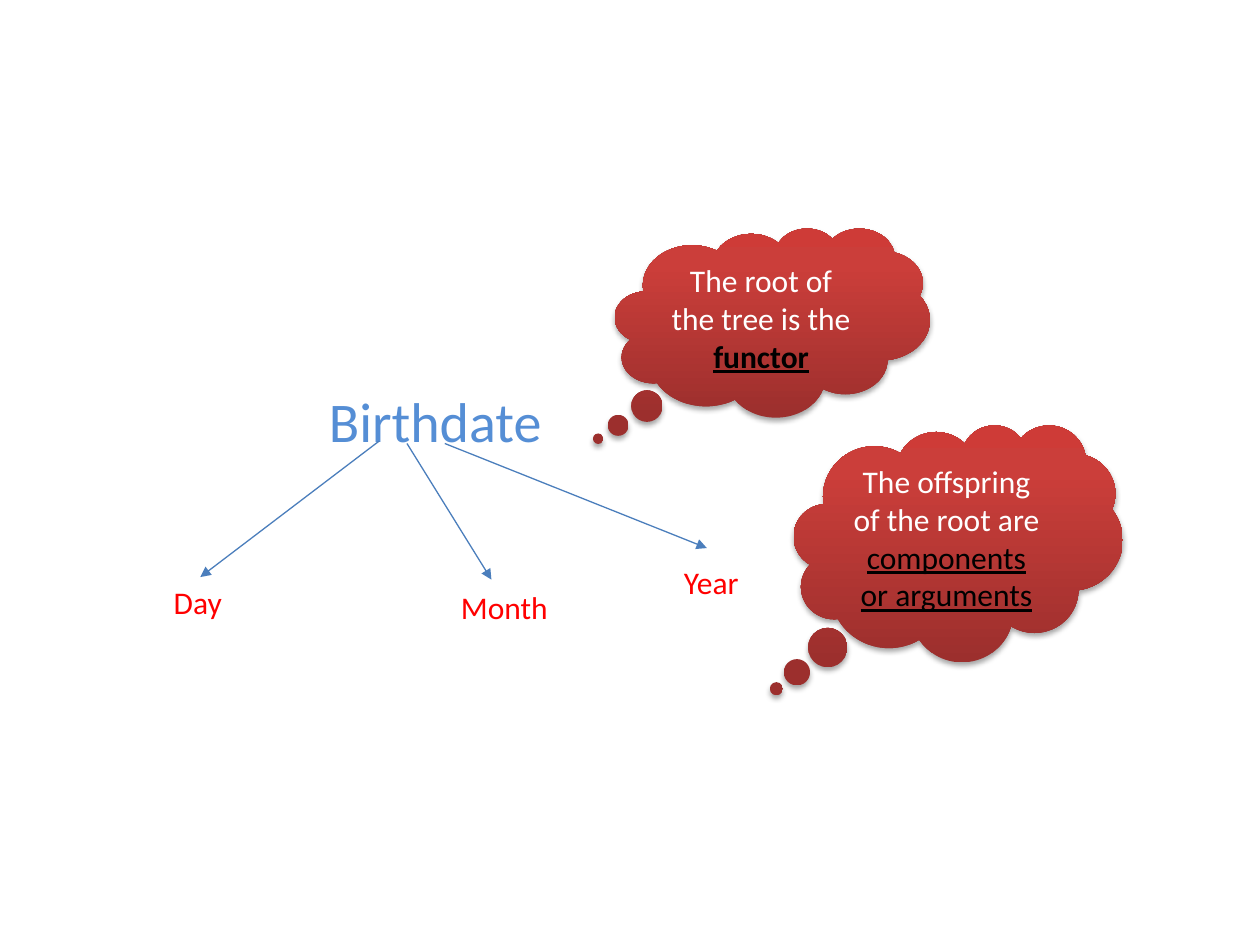
"""Build a slide showing the Birthdate tree with its functor and components."""
from pptx import Presentation
from pptx.dml.color import RGBColor
from pptx.enum.shapes import MSO_CONNECTOR, MSO_SHAPE
from pptx.enum.text import MSO_ANCHOR, PP_ALIGN
from pptx.oxml import parse_xml
from pptx.oxml.ns import nsdecls, qn
from pptx.util import Inches, Pt

STRAIGHT = MSO_CONNECTOR.STRAIGHT
CLOUD = MSO_SHAPE.CLOUD_CALLOUT
MIDDLE = MSO_ANCHOR.MIDDLE
CENTER = PP_ALIGN.CENTER
BLUE = RGBColor(0x55, 0x8E, 0xD5)
ARROW_BLUE = RGBColor(0x4B, 0x7E, 0xBC)
RED = RGBColor(0xFF, 0x00, 0x00)
WHITE = RGBColor(0xFF, 0xFF, 0xFF)
BLACK = RGBColor(0x00, 0x00, 0x00)
CLOUD_STOPS = [
    (0, RGBColor(0x9C, 0x2F, 0x2D)),
    (80, RGBColor(0xCB, 0x3E, 0x3A)),
    (100, RGBColor(0xCE, 0x3B, 0x37)),
]


def add_span(para, text, size, color):
    span = para.add_run()
    span.text = text
    span.font.name = "Calibri"
    span.font.size = Pt(size)
    span.font.color.rgb = color
    return span


def style_cloud(cloud):
    cloud.line.fill.background()
    cloud.fill.gradient()
    cloud.shadow.inherit = False
    properties = cloud._element.spPr
    stops = "".join(
        f'<a:gs pos="{place * 1000}"><a:srgbClr val="{color}"/></a:gs>'
        for place, color in CLOUD_STOPS
    )
    gradient = parse_xml(
        f'<a:gradFill {nsdecls("a")} rotWithShape="1"><a:gsLst>{stops}</a:gsLst>'
        '<a:lin ang="16200000" scaled="0"/></a:gradFill>'
    )
    properties.replace(properties.find(qn("a:gradFill")), gradient)
    shadow = parse_xml(
        f'<a:outerShdw {nsdecls("a")} blurRad="{Pt(3.1)}" dist="{Pt(1.8)}" '
        'dir="5400000" rotWithShape="0"><a:srgbClr val="000000">'
        '<a:alpha val="35000"/></a:srgbClr></a:outerShdw>'
    )
    properties.find(qn("a:effectLst")).append(shadow)


deck = Presentation()
deck.slide_width, deck.slide_height = Inches(10), Inches(7.5)
page = deck.slides.add_slide(deck.slide_layouts[1])
title = page.shapes.title._element
title.getparent().remove(title)

root = page.placeholders[1]
root.left, root.top = Inches(0.5), Inches(1.75)
root.width, root.height = Inches(9), Inches(4.95)
root.text_frame.margin_top = Inches(1.32)
para = root.text_frame.paragraphs[0]
para.space_before = Pt(0)
layout = para._p.get_or_add_pPr()
layout.set("marL", str(Inches(2.01)))
layout.set("indent", "0")
layout.append(parse_xml(f'<a:buNone {nsdecls("a")}/>'))
add_span(para, "Birthdate", 32, BLUE)

branches = [
    ("Day", (3.01, 3.5, 1.59, 4.58), (1.28, 4.58, 0.59)),
    ("Month", (3.23, 3.52, 3.9, 4.6), (3.56, 4.62, 0.96)),
    ("Year", (3.53, 3.52, 5.61, 4.35), (5.33, 4.42, 0.64)),
]
for name, ends, (left, top, width) in branches:
    arrow = page.shapes.add_connector(STRAIGHT, *map(Inches, ends))
    arrow.line.color.rgb = ARROW_BLUE
    arrow.line.width = Pt(0.75)
    arrow.line._get_or_add_ln().append(
        parse_xml(f'<a:tailEnd {nsdecls("a")} type="triangle"/>')
    )
    arrow._element.spPr.append(parse_xml(f'<a:effectLst {nsdecls("a")}/>'))

    box = page.shapes.add_textbox(Inches(left), Inches(top), Inches(width), Inches(0.4))
    box.text_frame.word_wrap = False
    add_span(box.text_frame.paragraphs[0], name, 18, RED)

thoughts = [
    ((6.3, 3.37, 2.61, 1.88), "The offspring of the root are ", "components or arguments", None),
    ((4.88, 1.81, 2.5, 1.5), "The root of the tree is the ", "functor", True),
]
for place, lead, term, bold in thoughts:
    cloud = page.shapes.add_shape(CLOUD, *map(Inches, place))
    cloud.adjustments[0] = -0.553
    cloud.adjustments[1] = 0.615
    style_cloud(cloud)
    cloud.text_frame.word_wrap = True
    cloud.text_frame.vertical_anchor = MIDDLE
    para = cloud.text_frame.paragraphs[0]
    para.alignment = CENTER
    add_span(para, lead, 18, WHITE)
    span = add_span(para, term, 18, BLACK)
    span.font.underline = True
    span.font.bold = bold

deck.save("out.pptx")
